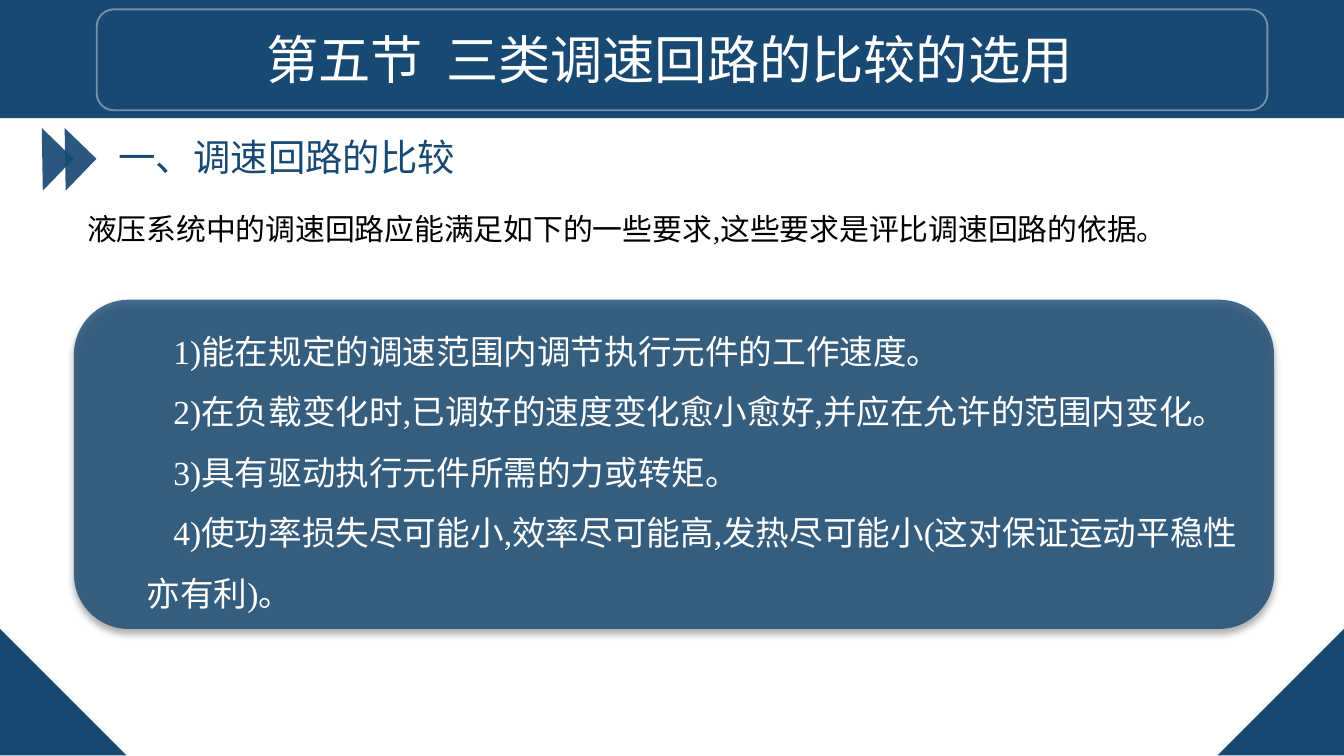
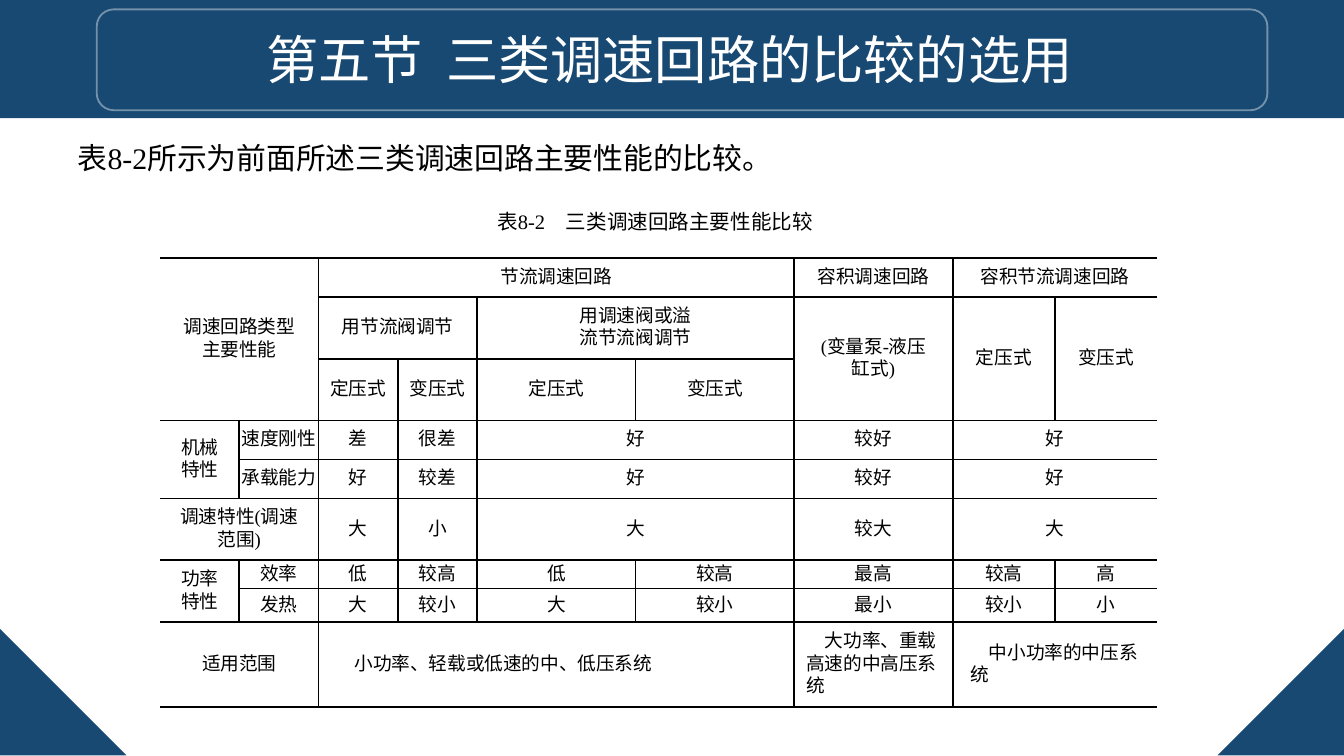
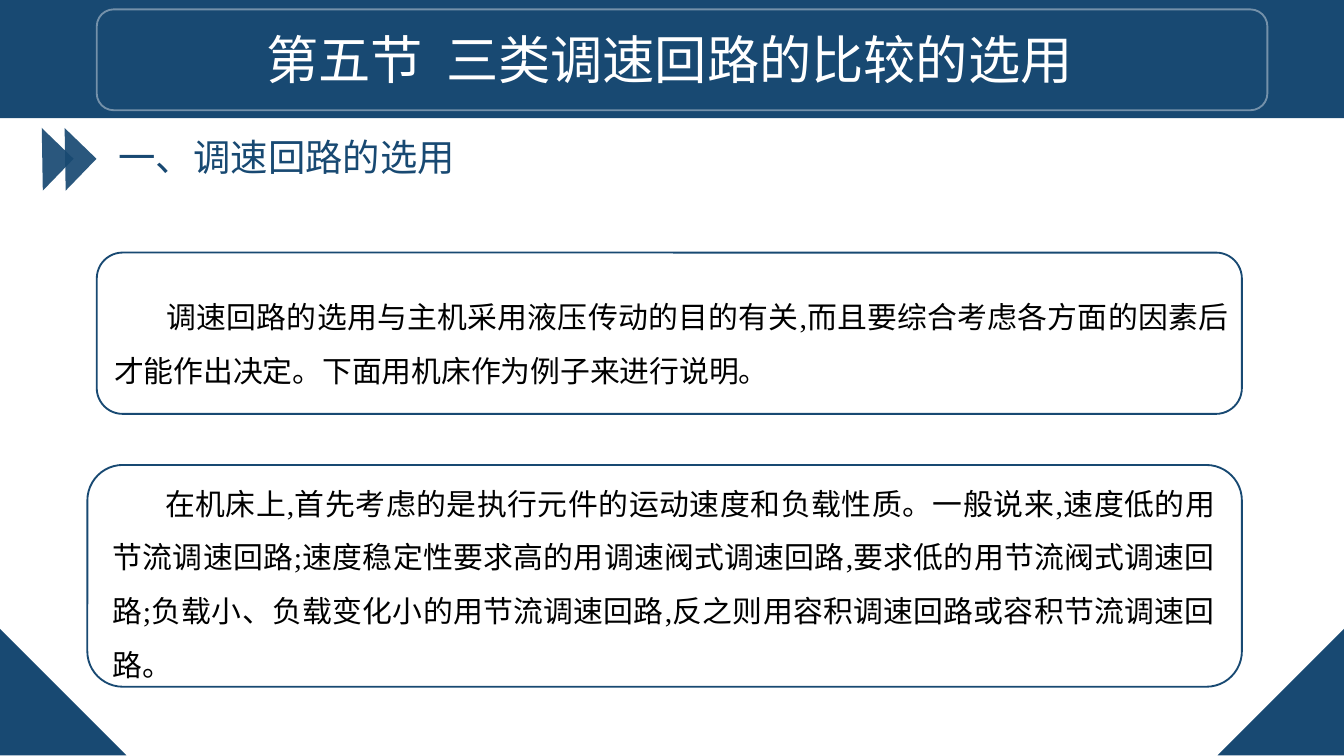
"""Build three slides on comparing and choosing hydraulic speed-control circuits."""
from dataclasses import dataclass

from lxml.etree import SubElement
from pptx import Presentation
from pptx.dml.color import RGBColor
from pptx.enum.shapes import MSO_SHAPE
from pptx.enum.text import MSO_ANCHOR, MSO_AUTO_SIZE, PP_ALIGN
from pptx.oxml.ns import qn
from pptx.util import Inches, Pt


@dataclass(frozen=True)
class Theme:
    navy: RGBColor = RGBColor(0x18, 0x49, 0x72)
    white: RGBColor = RGBColor(255, 255, 255)
    black: RGBColor = RGBColor(0, 0, 0)
    heading_font: str = "Noto Sans CJK SC"
    body_font: str = "Times New Roman"
    title_size: int = 28
    section_size: int = 20
    list_size: int = 18
    body_size: int = 16
    caption_size: int = 11
    table_size: int = 10


theme = Theme()


def draw_shape(slide, kind, box, fill=None, line=None, opacity=100, rotation=0):
    shape = slide.shapes.add_shape(kind, *map(Inches, box))
    shape.shadow.inherit = False
    shape.rotation = rotation
    if fill is None:
        shape.fill.background()
    else:
        shape.fill.solid()
        shape.fill.fore_color.rgb = fill
    if line is None:
        shape.line.fill.background()
    else:
        shape.line.color.rgb = line
        shape.line.width = Pt(1)
    if opacity < 100:
        color = next(shape.element.spPr.iter(qn("a:srgbClr")))
        SubElement(color, qn("a:alpha"), val=str(opacity * 1000))
    return shape


def write_text(frame, text, size, color=theme.black, font=theme.body_font,
               align=PP_ALIGN.LEFT, indent=0, spacing=1.0):
    frame.word_wrap = True
    frame.text = text
    for paragraph in frame.paragraphs:
        paragraph.alignment = align
        paragraph.line_spacing = spacing
        paragraph.space_before = Pt(0)
        properties = paragraph._p.get_or_add_pPr()
        properties.set("marL", "0")
        properties.set("indent", str(Inches(indent)))
        SubElement(properties, qn("a:buNone"))
        paragraph.font.size = Pt(size)
        paragraph.font.name = font
        paragraph.font.color.rgb = color


presentation = Presentation()
presentation.slide_width = Inches(10)
presentation.slide_height = Inches(10) * 9 // 16
layouts = presentation.slide_layouts
slides = [presentation.slides.add_slide(layouts[index]) for index in (1, 5, 5)]
requirements_slide, table_slide, selection_slide = slides

master_tree = presentation.slide_master.element.cSld.spTree
shared_shapes = [
    draw_shape(requirements_slide, MSO_SHAPE.RECTANGLE, (0, 0, 10, 0.88), theme.navy),
    draw_shape(requirements_slide, MSO_SHAPE.RIGHT_TRIANGLE, (0, 4.68, 0.94, 0.94), theme.navy),
    draw_shape(requirements_slide, MSO_SHAPE.RIGHT_TRIANGLE, (9.06, 4.68, 0.94, 0.94),
               theme.navy, rotation=270),
    draw_shape(requirements_slide, MSO_SHAPE.ROUNDED_RECTANGLE, (0.72, 0.07, 8.71, 0.75),
               line=theme.white, opacity=40),
]
for number, shape in enumerate(shared_shapes, start=20):
    shape.element.nvSpPr.cNvPr.id = number
    master_tree.append(shape.element)

for slide in slides:
    title = slide.shapes.title
    title.left, title.top, title.width, title.height = map(Inches, (0.9, 0.15, 8.16, 0.57))
    write_text(title.text_frame, "第五节  三类调速回路的比较的选用", theme.title_size,
               theme.white, theme.heading_font, PP_ALIGN.CENTER)
    title.text_frame.vertical_anchor = MSO_ANCHOR.TOP
    title.text_frame.auto_size = MSO_AUTO_SIZE.NONE

sections = [(requirements_slide, "一、调速回路的比较"), (selection_slide, "一、调速回路的选用")]
for slide, heading in sections:
    for left in (0.15, 0.32):
        draw_shape(slide, MSO_SHAPE.RIGHT_TRIANGLE, (left, 1.02, 0.33, 0.33),
                   theme.navy, opacity=92, rotation=224)
    heading_box = slide.shapes.add_textbox(*map(Inches, (0.66, 0.95, 2.95, 0.44)))
    write_text(heading_box.text_frame, heading, theme.section_size, theme.navy,
               theme.heading_font, PP_ALIGN.CENTER)

intro = requirements_slide.shapes.add_textbox(*map(Inches, (0.55, 1.52, 8.28, 0.37)))
write_text(intro.text_frame, "液压系统中的调速回路应能满足如下的一些要求,这些要求是评比调速回路的依据。",
           theme.body_size)

requirements = [
    "1)能在规定的调速范围内调节执行元件的工作速度。",
    "2)在负载变化时,已调好的速度变化愈小愈好,并应在允许的范围内变化。",
    "3)具有驱动执行元件所需的力或转矩。",
    "4)使功率损失尽可能小,效率尽可能高,发热尽可能小(这对保证运动平稳性亦有利)。",
]
body = requirements_slide.placeholders[1]
body.left, body.top, body.width, body.height = map(Inches, (0.99, 2.26, 8.49, 2.37))
write_text(body.text_frame, "\n".join(requirements), theme.list_size, theme.white,
           indent=0.2, spacing=1.5)
body.text_frame.auto_size = MSO_AUTO_SIZE.NONE

panel = draw_shape(requirements_slide, MSO_SHAPE.ROUNDED_RECTANGLE, (0.55, 2.23, 8.93, 2.45),
                   theme.navy, opacity=80)
shadow = SubElement(panel.element.spPr.find(qn("a:effectLst")), qn("a:outerShdw"),
                    blurRad=str(Pt(4)), dist=str(Pt(3)), dir="5400000", rotWithShape="0")
shadow_color = SubElement(shadow, qn("a:srgbClr"), val=str(theme.black))
SubElement(shadow_color, qn("a:alpha"), val="40000")
body.element.addprevious(panel.element)

table_intro = table_slide.shapes.add_textbox(*map(Inches, (0.19, 1.04, 5.83, 0.33)))
write_text(table_intro.text_frame, "表8-2所示为前面所述三类调速回路主要性能的比较。",
           theme.body_size, indent=0.29, spacing=Pt(15.8))
caption = table_slide.shapes.add_textbox(*map(Inches, (3.34, 1.5, 2.82, 0.29)))
write_text(caption.text_frame, "表8-2　三类调速回路主要性能比较", theme.caption_size,
           align=PP_ALIGN.CENTER, indent=0.25, spacing=Pt(13.5))

cell_texts = [
    ["调速回路类型主要性能", "", "节流调速回路", "", "", "", "容积调速回路", "容积节流调速回路", ""],
    ["", "", "用节流阀调节", "", "用调速阀或溢\n流节流阀调节", "", "(变量泵-液压缸式)", "定压式", "变压式"],
    ["", "", "定压式", "变压式", "定压式", "变压式", "", "", ""],
    ["机械特性", "速度刚性", "差", "很差", "好", "", "较好", "好", ""],
    ["", "承载能力", "好", "较差", "好", "", "较好", "好", ""],
    ["调速特性(调速范围)", "", "大", "小", "大", "", "较大", "大", ""],
    ["功率特性", "效率", "低", "较高", "低", "较高", "最高", "较高", "高"],
    ["", "发热", "大", "较小", "大", "较小", "最小", "较小", "小"],
    ["适用范围", "", "　小功率、轻载或低速的中、低压系统", "", "", "", "　大功率、重载高速的中高压系统",
     "　中小功率的中压系统", ""],
]
spans = {
    (0, 0): (3, 2), (0, 2): (1, 4), (0, 7): (1, 2),
    (1, 2): (1, 2), (1, 4): (1, 2), (1, 6): (2, 1), (1, 7): (2, 1), (1, 8): (2, 1),
    (3, 0): (2, 1), (3, 4): (1, 2), (3, 7): (1, 2),
    (4, 4): (1, 2), (4, 7): (1, 2),
    (5, 0): (1, 2), (5, 4): (1, 2), (5, 7): (1, 2),
    (6, 0): (2, 1),
    (8, 0): (1, 2), (8, 2): (1, 4), (8, 7): (1, 2),
}
column_widths = [0.59] * 4 + [1.18] * 3 + [0.76] * 2
row_heights = [0.29, 0.46, 0.46, 0.29, 0.29, 0.46, 0.21, 0.25, 0.63]
last_row = len(row_heights) - 1
table = table_slide.shapes.add_table(
    len(row_heights), len(column_widths), Inches(1.19), Inches(1.92),
    Inches(sum(column_widths)), Inches(sum(row_heights))).table
table.first_row = table.horz_banding = False
for column, width in zip(table.columns, column_widths):
    column.width = Inches(width)
for row, height in zip(table.rows, row_heights):
    row.height = Inches(height)

for row_index, row_texts in enumerate(cell_texts):
    for column_index, text in enumerate(row_texts):
        cell = table.cell(row_index, column_index)
        position = (row_index, column_index)
        column_span = spans.get(position, (1, 1))[1]
        is_scope = row_index == last_row and column_index > 0
        side, edge = (0.13, 0.06) if position in spans else (0.09 if is_scope else 0, 0)
        cell.margin_left = cell.margin_right = Inches(side)
        cell.margin_top = cell.margin_bottom = Inches(edge)
        cell.vertical_anchor = MSO_ANCHOR.MIDDLE
        write_text(cell.text_frame, text, theme.table_size,
                   align=PP_ALIGN.LEFT if is_scope else PP_ALIGN.CENTER, spacing=Pt(12))
        properties = cell._tc.get_or_add_tcPr()
        borders = {"a:lnL": column_index > 0,
                   "a:lnR": column_index + column_span < len(column_widths),
                   "a:lnT": True, "a:lnB": True}
        for tag, visible in borders.items():
            border = SubElement(properties, qn(tag), w=str(Pt(1)))
            if visible:
                border_fill = SubElement(border, qn("a:solidFill"))
                SubElement(border_fill, qn("a:srgbClr"), val=str(theme.black))
            else:
                SubElement(border, qn("a:noFill"))
        cell.fill.background()

for (row_index, column_index), (row_span, column_span) in spans.items():
    table.cell(row_index, column_index).merge(
        table.cell(row_index + row_span - 1, column_index + column_span - 1))

selection_notes = [
    ((0.75, 2.04, 8.49, 0.86), (0.72, 1.88, 8.52, 1.2),
     "调速回路的选用与主机采用液压传动的目的有关,而且要综合考虑各方面的因素后才能作出决定。"
     "下面用机床作为例子来进行说明。"),
    ((0.74, 3.43, 8.4, 1.67), (0.65, 3.46, 8.59, 1.65),
     "在机床上,首先考虑的是执行元件的运动速度和负载性质。一般说来,速度低的用节流调速回路;"
     "速度稳定性要求高的用调速阀式调速回路,要求低的用节流阀式调速回路;"
     "负载小、负载变化小的用节流调速回路,反之则用容积调速回路或容积节流调速回路。"),
]
for text_box, outline_box, text in selection_notes:
    note = selection_slide.shapes.add_textbox(*map(Inches, text_box))
    write_text(note.text_frame, text, theme.body_size, align=PP_ALIGN.JUSTIFY,
               indent=0.39, spacing=1.5)
    outline = draw_shape(selection_slide, MSO_SHAPE.ROUNDED_RECTANGLE, outline_box,
                         line=theme.navy)
    outline.adjustments[0] = 0.16

presentation.save("out.pptx")
